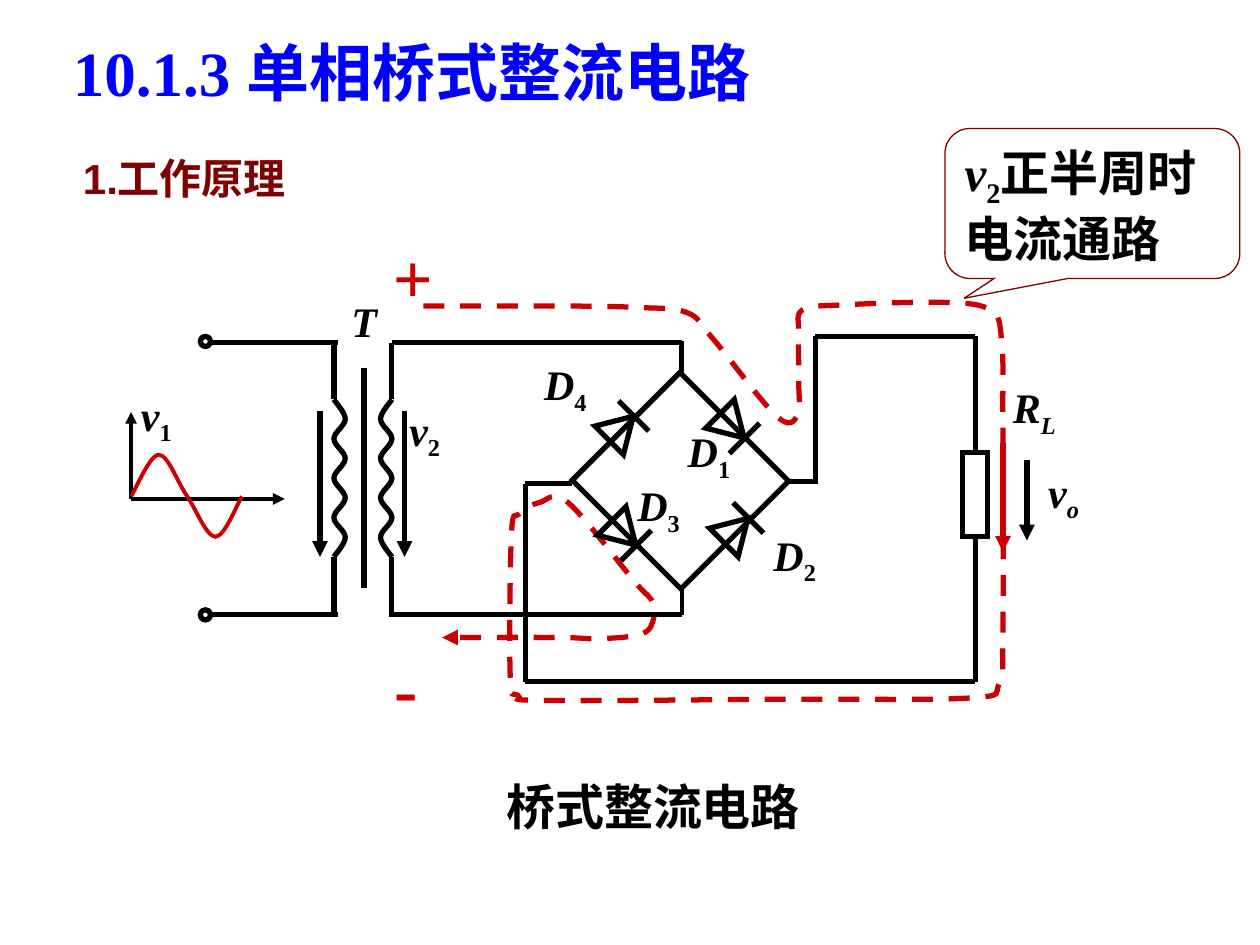
from math import cos, radians, sin

from lxml.etree import SubElement
from pptx import Presentation
from pptx.dml.color import RGBColor
from pptx.enum.dml import MSO_LINE
from pptx.enum.shapes import MSO_CONNECTOR, MSO_SHAPE
from pptx.enum.text import MSO_ANCHOR, MSO_AUTO_SIZE, PP_ALIGN
from pptx.oxml.ns import qn
from pptx.util import Inches, Pt

BLACK = RGBColor(0, 0, 0)
RED = RGBColor(0xCC, 0, 0)
BLUE = RGBColor(0, 0, 0xFF)
MAROON = RGBColor(0x80, 0, 0)
SERIF, SANS, CJK = "Times New Roman", "Arial", "Noto Sans CJK SC"

# Headings: place, runs of (text, font), size, colour, anchor
HEADINGS = [
    ((0.48, 0.22, 5.87, 0.7), [("10.1.3 ", SERIF), ("单相桥式整流电路", SANS)],
     36, BLUE, MSO_ANCHOR.MIDDLE),
    ((3.92, 6.11, 2.94, 0.57), [("桥式整流电路", SANS)], 28, BLACK, MSO_ANCHOR.TOP),
    ((0.56, 1.16, 2.25, 0.5), [("1.工作原理", SANS)], 24, MAROON, MSO_ANCHOR.MIDDLE),
]
SIGNS = [("+", (3.02, 1.8, 0.51, 0.77)), ("-", (3.03, 5.06, 0.38, 0.77))]

# Labels: symbol, subscript, subscript italic, left, top, width
LABELS = [
    ("v", "1", False, 1.02, 3.04, 0.61), ("v", "2", False, 3.15, 3.16, 0.61),
    ("D", "4", False, 4.22, 2.8, 0.61), ("D", "2", False, 6.04, 4.15, 0.61),
    ("D", "1", False, 5.36, 3.33, 0.61), ("D", "3", False, 4.96, 3.76, 0.61),
    ("R", "L", True, 7.94, 2.98, 1.11), ("v", "o", True, 8.22, 3.65, 0.81),
    ("T", "", False, 2.69, 2.3, 0.4),
]

# Wires as (x1, y1, x2, y2)
LOAD_X = 7.74
WIRES = [
    (1.68, 2.72, 2.68, 2.72), (1.68, 4.88, 2.68, 4.88),
    (2.65, 2.71, 2.65, 3.17), (2.65, 4.42, 2.65, 4.88),
    (2.89, 2.92, 2.89, 4.67),
    (3.11, 2.72, 5.41, 2.72), (3.09, 4.88, 5.41, 4.88),
    (3.11, 2.72, 3.11, 3.17), (3.11, 4.42, 3.11, 4.88),
    (5.41, 2.71, 5.41, 2.96), (4.54, 3.84, 4.17, 3.84),
    (4.17, 3.84, 4.17, 5.41), (4.17, 5.41, LOAD_X, 5.41),
    (6.25, 3.82, 6.47, 3.82), (6.47, 3.84, 6.47, 2.67),
    (6.47, 2.67, LOAD_X, 2.67),
]
ARROWS = [(2.54, 3.26, 2.54, 4.42), (3.21, 3.26, 3.21, 4.42), (8.15, 3.65, 8.15, 4.29)]
AXES = [(1.04, 3.96, 1.04, 3.27), (1.04, 3.96, 2.26, 3.96)]
DIODES = [(4.93, 3.4, 45), (5.84, 4.21, 45), (5.81, 3.38, 135), (4.95, 4.23, 135)]

# Points that the curves pass through
CURRENT_PATH = [
    (3.36, 2.43), (4.04, 2.43), (4.61, 2.43), (5.03, 2.44), (5.45, 2.48), (5.66, 2.69),
    (6.16, 3.3), (6.33, 3.3), (6.34, 3.03), (6.34, 2.65), (6.37, 2.46), (6.7, 2.42),
    (7.48, 2.4), (7.86, 2.46), (7.95, 2.7), (7.96, 3.36), (7.96, 5.07), (7.93, 5.43),
    (7.7, 5.54), (6.21, 5.55), (4.34, 5.56), (4.11, 5.52), (4.05, 5.36), (4.06, 4.24),
    (4.12, 4.08), (4.28, 3.99), (4.51, 3.99), (5.04, 4.62), (5.17, 4.76), (5.19, 4.9),
    (5.1, 5.03), (4.76, 5.07), (4.44, 5.06), (3.51, 5.06),
]
SINE = [(1.04, 3.94), (1.26, 3.61), (1.48, 3.93), (1.71, 4.26), (1.92, 3.94)]
COIL_TOP, COIL_STEP, COIL_TURN = 3.17, 1.25 / 8, 0.09

deck = Presentation()
deck.slide_width, deck.slide_height = Inches(10), Inches(7.5)
page = deck.slides.add_slide(deck.slide_layouts[6])


def style_line(item, color, width, arrow=False):
    item.line.color.rgb = color
    item.line.width = Pt(width)
    outline = item.line._get_or_add_ln()
    SubElement(outline, qn("a:miter"), lim="800000")
    if arrow:
        SubElement(outline, qn("a:tailEnd"), type="triangle")


def add_wire(ends, color=BLACK, width=3, arrow=False):
    wire = page.shapes.add_connector(MSO_CONNECTOR.STRAIGHT, *map(Inches, ends))
    style_line(wire, color, width, arrow)
    SubElement(wire._element.spPr, qn("a:effectLst"))
    return wire


def add_outline(kind, place, rotation=0, color=BLACK, width=3):
    shape = page.shapes.add_shape(kind, *map(Inches, place))
    shape.shadow.inherit = False
    shape.fill.background()
    style_line(shape, color, width)
    shape.rotation = rotation
    return shape


def add_curve(knots, color=BLACK, width=3, dashed=False):
    """Draw a smooth curve through the knots, one Bezier piece per gap."""
    knots = [(Inches(x), Inches(y)) for x, y in knots]
    builder = page.shapes.build_freeform(*knots[0])
    builder.add_line_segments(knots[1:], close=False)
    curve = builder.convert_to_shape()
    padded = [knots[0], *knots, knots[-1]]
    pieces = list(curve._element.iter(qn("a:lnTo")))
    for piece, a, b, c, d in zip(pieces, padded, padded[1:], padded[2:], padded[3:]):
        leave = [q + (r - p) / 6 for p, q, r in zip(a, b, c)]
        arrive = [r - (s - q) / 6 for q, r, s in zip(b, c, d)]
        bezier = SubElement(piece.getparent(), qn("a:cubicBezTo"))
        for x, y in (leave, arrive, c):
            SubElement(bezier, qn("a:pt"), x=str(round(x - curve.left)),
                       y=str(round(y - curve.top)))
        piece.getparent().remove(piece)
    curve.shadow.inherit = False
    curve.fill.background()
    if dashed:
        curve.line.dash_style = MSO_LINE.DASH
    style_line(curve, color, width, arrow=dashed)


def write(box, runs, size, color, anchor=MSO_ANCHOR.TOP, align=PP_ALIGN.LEFT, wrap=True):
    """Fill a box with runs of (text, font, italic, subscript)."""
    frame = box.text_frame
    frame.word_wrap = wrap
    frame.auto_size = MSO_AUTO_SIZE.SHAPE_TO_FIT_TEXT
    frame.vertical_anchor = anchor
    para = frame.paragraphs[0]
    para.alignment = align
    for text, font, italic, subscript in runs:
        span = para.add_run()
        span.text = text
        span.font.size = Pt(size)
        span.font.bold = True
        span.font.italic = italic
        span.font.color.rgb = color
        span.font.name = font
        properties = span.font._element
        SubElement(properties, qn("a:ea"), typeface=CJK)
        if subscript:
            properties.set("baseline", "-25000")


def add_text(place, *args, **options):
    write(page.shapes.add_textbox(*map(Inches, place)), *args, **options)


# Headings and polarity signs
for place, runs, size, color, anchor in HEADINGS:
    add_text(place, [(text, font, False, False) for text, font in runs], size, color, anchor)
for sign, place in SIGNS:
    add_text(place, [(sign, SERIF, False, False)], 40, RED, MSO_ANCHOR.MIDDLE,
             PP_ALIGN.CENTER, wrap=False)

# Current path in the positive half cycle
add_curve(CURRENT_PATH, RED, dashed=True)
add_wire((7.96, 3.52, 7.96, 4.38), RED, arrow=True)

callout = add_outline(MSO_SHAPE.ROUNDED_RECTANGULAR_CALLOUT, (7.5, 1.02, 2.34, 1.19),
                      color=MAROON, width=0.75)
for index, value in enumerate((-0.435, 0.632, 0.167)):
    callout.adjustments[index] = value
write(callout, [("v", SERIF, True, False), ("2", SERIF, False, True),
                ("正半周时电流通路", CJK, False, False)], 28, BLACK)

# Terminals, transformer coils and wires
for top in (2.67, 4.84):
    add_outline(MSO_SHAPE.OVAL, (1.59, top, 0.08, 0.08))
for coil_x, side in ((2.65, 1), (3.11, -1)):
    add_curve([(coil_x + side * COIL_TURN * (turn % 2), COIL_TOP + COIL_STEP * turn)
               for turn in range(9)])
for ends in WIRES:
    add_wire(ends)
add_wire((5.41, 4.88, 5.41, 4.67), width=2.25)

# Load resistor
resistor = add_outline(MSO_SHAPE.RECTANGLE, (LOAD_X - 0.1, 3.59, 0.2, 0.67))
add_wire((LOAD_X, 2.67, LOAD_X, 3.59)).end_connect(resistor, 0)
add_wire((LOAD_X, 4.26, LOAD_X, 5.41)).begin_connect(resistor, 2)

# Diode bridge: each bar touches the tip of its triangle
add_outline(MSO_SHAPE.RECTANGLE, (4.79, 3.21, 1.22, 1.21), 45)
for x, y, angle in DIODES:
    add_outline(MSO_SHAPE.ISOSCELES_TRIANGLE, (x - 0.16, y - 0.135, 0.32, 0.27), angle)
    dx, dy = sin(radians(angle)), -cos(radians(angle))
    bar_x, bar_y = x + 0.14 * dx, y + 0.14 * dy
    add_wire((bar_x + 0.17 * dy, bar_y - 0.17 * dx, bar_x - 0.17 * dy, bar_y + 0.17 * dx))

# Input waveform, voltage arrows and labels
for ends in AXES:
    add_wire(ends, width=2.25, arrow=True)
add_curve(SINE, RED, 2.25)
for ends in ARROWS:
    add_wire(ends, arrow=True)
for symbol, subscript, italic, left, top, width in LABELS:
    runs = [(symbol, SERIF, True, False)]
    if subscript:
        runs.append((subscript, SERIF, italic, True))
    add_text((left, top, width, 0.56 if subscript else 0.5), runs, 24, BLACK,
             wrap=bool(subscript))

deck.save("out.pptx")
